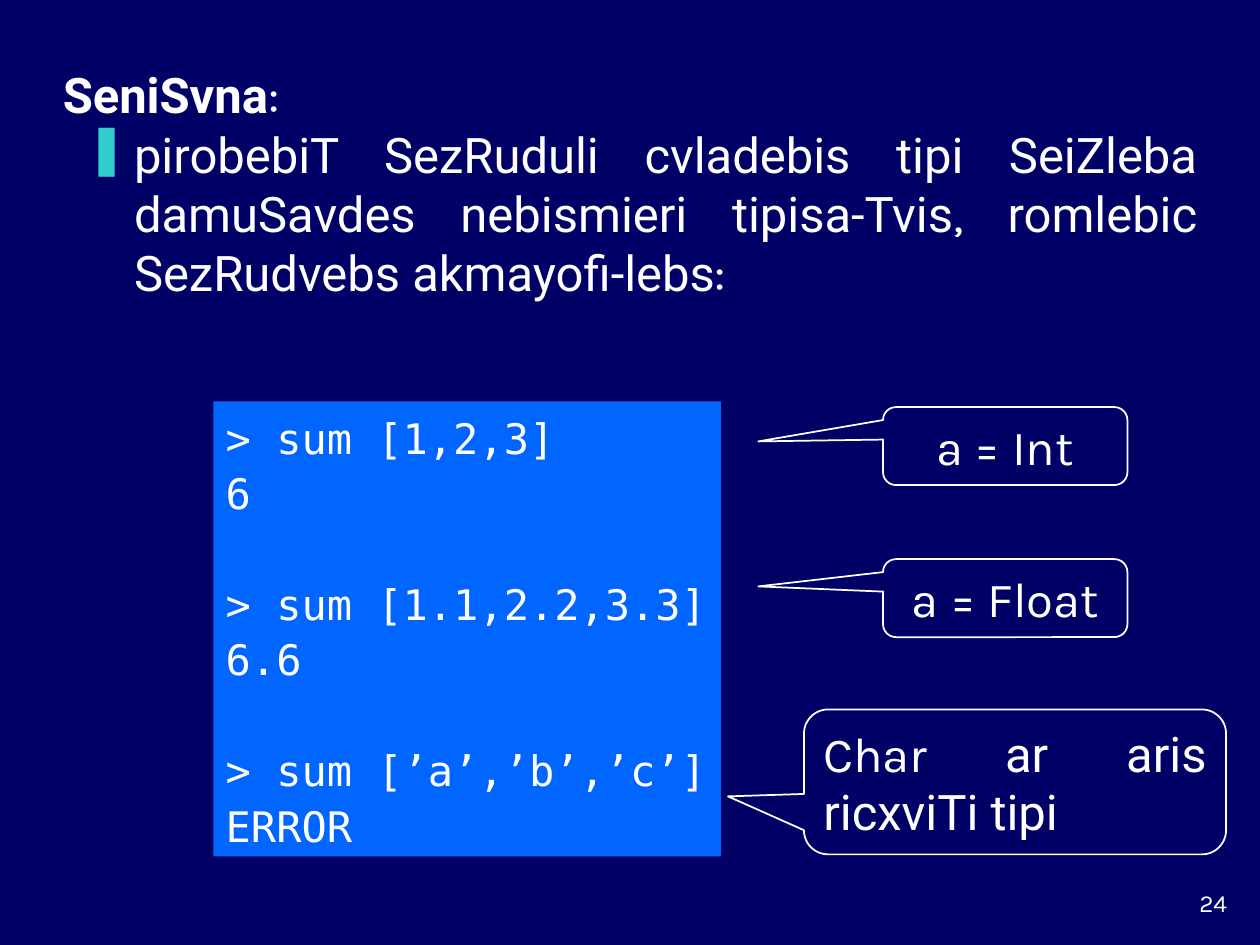
from lxml.etree import SubElement
from pptx import Presentation
from pptx.dml.color import RGBColor
from pptx.enum.shapes import MSO_SHAPE
from pptx.enum.text import MSO_ANCHOR, MSO_AUTO_SIZE, PP_ALIGN
from pptx.oxml.ns import qn
from pptx.util import Pt

NAVY = RGBColor(0x00, 0x00, 0x66)
BLUE = RGBColor(0x00, 0x66, 0xFF)
TEAL = RGBColor(0x33, 0xCC, 0xCC)
WHITE = RGBColor(0xFF, 0xFF, 0xFF)
BODY, LATIN, MONO = "Roboto", "Karla", "DejaVu Sans Mono"


def add_run(paragraph, text, font=BODY, size=28, bold=False):
    run = paragraph.add_run()
    run.text = text
    run.font.name = font
    run.font.size = Pt(size)
    run.font.bold = bold
    run.font.color.rgb = WHITE


prs = Presentation()
prs.slide_width, prs.slide_height = Pt(720), Pt(540)
slide = prs.slides.add_slide(prs.slide_layouts[6])
slide.background.fill.solid()
slide.background.fill.fore_color.rgb = NAVY
shapes = slide.shapes

# Slide number
number = shapes.add_textbox(Pt(660.2), Pt(504), Pt(48.2), Pt(23.8)).text_frame
number.word_wrap = True
number.paragraphs[0].alignment = PP_ALIGN.RIGHT
add_run(number.paragraphs[0], "24", LATIN, 14)

# Bulleted remark
remark = shapes.add_textbox(Pt(42.5), Pt(67.7), Pt(648.7), Pt(144)).text_frame
remark.word_wrap = True
statement = remark.paragraphs[0]
statement.alignment = PP_ALIGN.JUSTIFY
statement.space_before = Pt(5.6)
for text, font in [
    ("pirobebiT SezRuduli cvladebis tipi SeiZleba damuSavdes nebismieri tipisa-Tvis", BODY),
    (", ", LATIN),
    ("romlebic SezRudvebs akmayofi-lebs", BODY),
    (":", LATIN),
]:
    add_run(statement, text, font)
properties = statement._p.get_or_add_pPr()
properties.set("marL", str(Pt(27)))
properties.set("indent", str(Pt(-27)))
bullet_color = SubElement(properties, qn("a:buClr"))
SubElement(bullet_color, qn("a:srgbClr"), val=str(TEAL))
SubElement(properties, qn("a:buChar"), char="❚")

# Heading
heading = shapes.add_textbox(Pt(28.8), Pt(33.1), Pt(143.3), Pt(41)).text_frame
heading.word_wrap = False
heading.vertical_anchor = MSO_ANCHOR.MIDDLE
add_run(heading.paragraphs[0], "SeniSvna", bold=True)
add_run(heading.paragraphs[0], ":", LATIN)

# Interpreter session: each prompt after the first is set off by one line
session = shapes.add_shape(MSO_SHAPE.RECTANGLE, Pt(121.9), Pt(229.4), Pt(290), Pt(260))
session.shadow.inherit = False
session.fill.solid()
session.fill.fore_color.rgb = BLUE
session.line.fill.background()
code = session.text_frame
code.word_wrap = False
code.vertical_anchor = MSO_ANCHOR.MIDDLE
lines = ["> sum [1,2,3]", "6", "> sum [1.1,2.2,3.3]", "6.6", "> sum [’a’,’b’,’c’]", "ERROR"]
for i, text in enumerate(lines):
    line = code.add_paragraph() if i else code.paragraphs[0]
    line.alignment = PP_ALIGN.LEFT
    line.line_spacing = 1.1
    if i and text.startswith(">"):
        line.space_before = Pt(31.7)
    add_run(line, text, MONO, 24)

# Callouts: left, top, width, height, pointer tip, alignment, runs
callouts = [
    (459.4, 405.4, 241.2, 82.8, (-0.68, 0.1), PP_ALIGN.JUSTIFY,
     [("Char ", LATIN), ("ar aris ricxviTi tipi", BODY)]),
    (504.6, 232.6, 139.7, 44.6, (-1.01, -0.06), PP_ALIGN.CENTER, [("a = Int", LATIN)]),
    (504.6, 319.5, 139.7, 44.6, (-1.01, -0.15), PP_ALIGN.CENTER, [("a = Float", LATIN)]),
]
for left, top, width, height, tip, alignment, runs in callouts:
    callout = shapes.add_shape(
        MSO_SHAPE.ROUNDED_RECTANGULAR_CALLOUT, Pt(left), Pt(top), Pt(width), Pt(height))
    callout.shadow.inherit = False
    callout.adjustments[0], callout.adjustments[1] = tip
    callout.fill.background()
    callout.line.color.rgb = WHITE
    callout.line.width = Pt(1)
    note = callout.text_frame
    note.word_wrap = True
    note.auto_size = MSO_AUTO_SIZE.SHAPE_TO_FIT_TEXT
    note.vertical_anchor = MSO_ANCHOR.MIDDLE
    note.paragraphs[0].alignment = alignment
    for text, font in runs:
        add_run(note.paragraphs[0], text, font)

prs.save("out.pptx")
